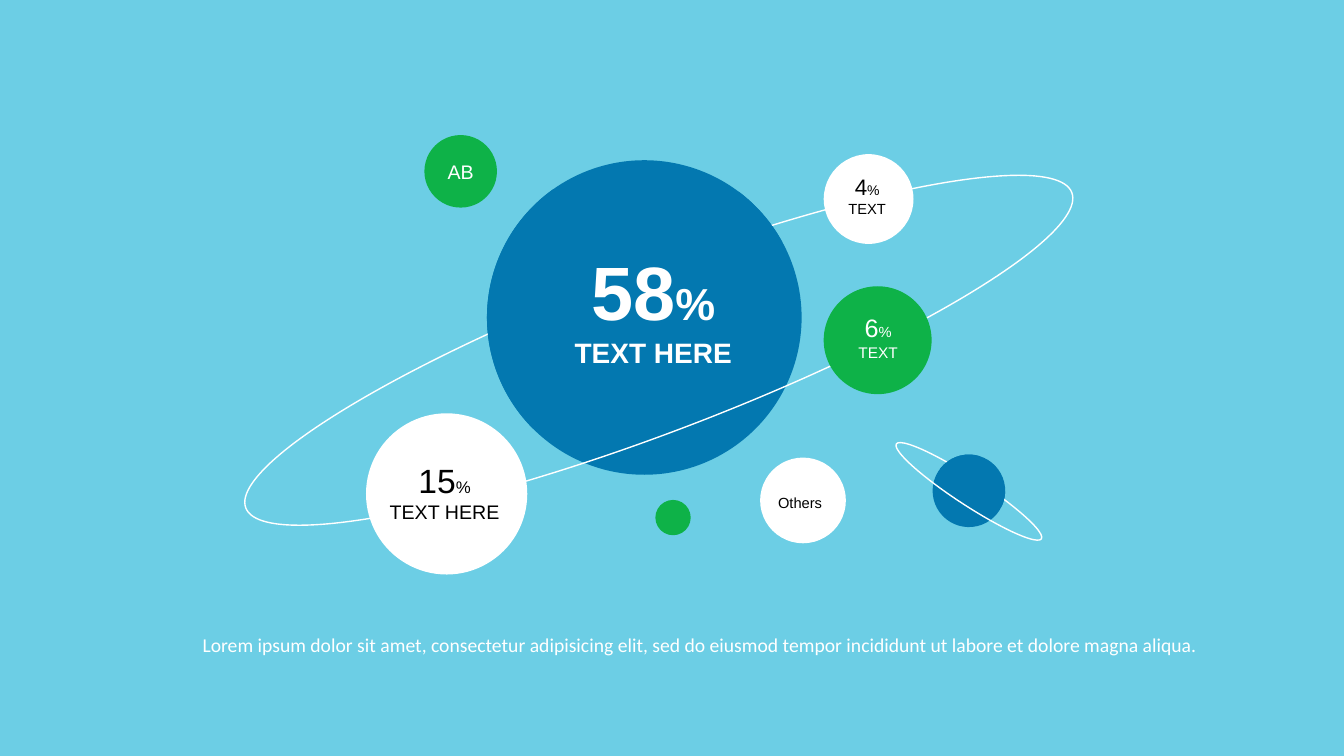
from dataclasses import dataclass
from typing import Any, Optional

from pptx import Presentation
from pptx.dml.color import RGBColor
from pptx.enum.shapes import MSO_SHAPE as Preset
from pptx.enum.text import MSO_ANCHOR as Anchor, MSO_AUTO_SIZE as AutoSize, PP_ALIGN as Align
from pptx.util import Inches, Pt

WIDTH, HEIGHT = Inches(13.33), Inches(7.5)
COLORS = {"sky": "6CCEE5", "blue": "0378B0", "green": "0EB248", "white": "FFFFFF", "black": "000000"}
PIE_UNITS_PER_DEGREE = 0.6
BACK_ARC = (306.86, 234.42)


@dataclass
class Disc:
    x: float
    y: float
    diameter: float
    color: str


@dataclass
class RingedPlanet:
    disc: Disc
    tilt: float
    front_arc: tuple[float, float]
    ring: tuple[float, float, float, float]
    ring_tilt: float


@dataclass
class Label:
    x: float
    y: float
    width: float
    height: float
    color: str
    lines: list[list[tuple[str, float]]]
    bold: bool = False


SATURN = RingedPlanet(Disc(47.94, 42, 23.41, "blue"), 0, (134.96, 331.41),
                      (49.02, 46.33, 65.79, 21.47), 339.1)
SMALL_SATURN = RingedPlanet(Disc(72.09, 64.93, 5.4, "blue"), 54.2, (162.95, 331.41),
                            (72.09, 65, 12.9, 3.6), 33.2)
LETTERED_DISC = Disc(34.28, 22.67, 5.4, "green")
DISCS = [
    Disc(33.23, 65.33, 12, "white"),
    Disc(65.3, 45, 8.03, "green"),
    Disc(64.63, 26.33, 6.68, "white"),
    Disc(50.08, 68.47, 2.63, "green"),
    Disc(59.75, 66.2, 6.38, "white"),
]
LABELS = [
    Label(33.08, 65.07, 9.75, 9.87, "black", [[("15", 24), ("%", 12)], [("TEXT HERE", 14)]]),
    Label(48.61, 40.73, 13.35, 18, "white", [[("58", 54), ("%", 32)], [("TEXT HERE", 20)]], True),
    Label(65.34, 44.6, 4.5, 7.87, "white", [[("6", 18), ("%", 10.5)], [("TEXT", 11)]]),
    Label(64.52, 25.93, 4.35, 7.33, "black", [[("4", 16), ("%", 10)], [("TEXT", 10.5)]]),
    Label(59.53, 66.93, 5.93, 4.53, "black", [[("Others", 10.5)]]),
]
CAPTION = ("Lorem ipsum dolor sit amet, consectetur adipisicing elit, sed do eiusmod tempor "
           "incididunt ut labore et dolore magna aliqua.")


def rgb(name: str) -> RGBColor:
    return RGBColor.from_string(COLORS[name])


def apply(target: Any, **values: Any) -> None:
    for name, value in values.items():
        setattr(target, name, value)


def frame(x: float, y: float, width: float, height: Optional[float] = None) -> tuple[int, ...]:
    wide = round(WIDTH * width / 100)
    high = wide if height is None else round(HEIGHT * height / 100)
    return round(WIDTH * x / 100 - wide / 2), round(HEIGHT * y / 100 - high / 2), wide, high


def add_disc(shapes: Any, disc: Disc, arc: Optional[tuple[float, float]] = None, tilt: float = 0) -> Any:
    shape = shapes.add_shape(Preset.PIE if arc else Preset.OVAL, *frame(disc.x, disc.y, disc.diameter))
    for index, degrees in enumerate(arc or ()):
        shape.adjustments[index] = degrees * PIE_UNITS_PER_DEGREE
    shape.rotation = tilt
    shape.shadow.inherit = False
    shape.fill.solid()
    shape.fill.fore_color.rgb = rgb(disc.color)
    shape.line.fill.background()
    return shape


def add_ringed_planet(shapes: Any, planet: RingedPlanet) -> None:
    group = shapes.add_group_shape().shapes
    add_disc(group, planet.disc, BACK_ARC, planet.tilt)
    ring = group.add_shape(Preset.OVAL, *frame(*planet.ring))
    ring.rotation = planet.ring_tilt
    ring.shadow.inherit = False
    ring.fill.background()
    ring.line.color.rgb = rgb("white")
    ring.line.width = Pt(1)
    add_disc(group, planet.disc, planet.front_arc, planet.tilt)


def write(text_frame: Any, lines: list[list[tuple[str, float]]], color: str, bold: bool = False,
          font: str = "Arial", align: Any = Align.CENTER) -> None:
    for index, line in enumerate(lines):
        paragraph = text_frame.add_paragraph() if index else text_frame.paragraphs[0]
        paragraph.alignment = align
        for text, size in line:
            run = paragraph.add_run()
            run.text = text
            apply(run.font, name=font, size=Pt(size), bold=bold)
            run.font.color.rgb = rgb(color)


def add_label(shapes: Any, label: Label) -> None:
    text_frame = shapes.add_textbox(*frame(label.x, label.y, label.width, label.height)).text_frame
    apply(text_frame, word_wrap=False, auto_size=AutoSize.SHAPE_TO_FIT_TEXT)
    write(text_frame, label.lines, label.color, label.bold)


def add_caption(shapes: Any) -> None:
    text_frame = shapes.add_textbox(*frame(56.6, 85.27, 84.25, 4.13)).text_frame
    apply(text_frame, word_wrap=True, auto_size=AutoSize.SHAPE_TO_FIT_TEXT,
          margin_left=Inches(0.08), margin_right=Inches(0.08),
          margin_top=Inches(0.04), margin_bottom=Inches(0.04))
    write(text_frame, [[(CAPTION, 14)]], "white", font="Calibri", align=Align.JUSTIFY)
    text_frame.paragraphs[0].space_after = Pt(6)


def main() -> None:
    presentation = Presentation()
    apply(presentation, slide_width=WIDTH, slide_height=HEIGHT)
    slide = presentation.slides.add_slide(presentation.slide_layouts[6])
    slide.background.fill.solid()
    slide.background.fill.fore_color.rgb = rgb("sky")

    add_ringed_planet(slide.shapes, SATURN)
    for disc in DISCS:
        add_disc(slide.shapes, disc)
    lettered_frame = add_disc(slide.shapes, LETTERED_DISC).text_frame
    lettered_frame.vertical_anchor = Anchor.MIDDLE
    write(lettered_frame, [[("AB", 14)]], "white")
    for label in LABELS:
        add_label(slide.shapes, label)
    add_ringed_planet(slide.shapes, SMALL_SATURN)
    add_caption(slide.shapes)
    presentation.save("out.pptx")


if __name__ == "__main__":
    main()
